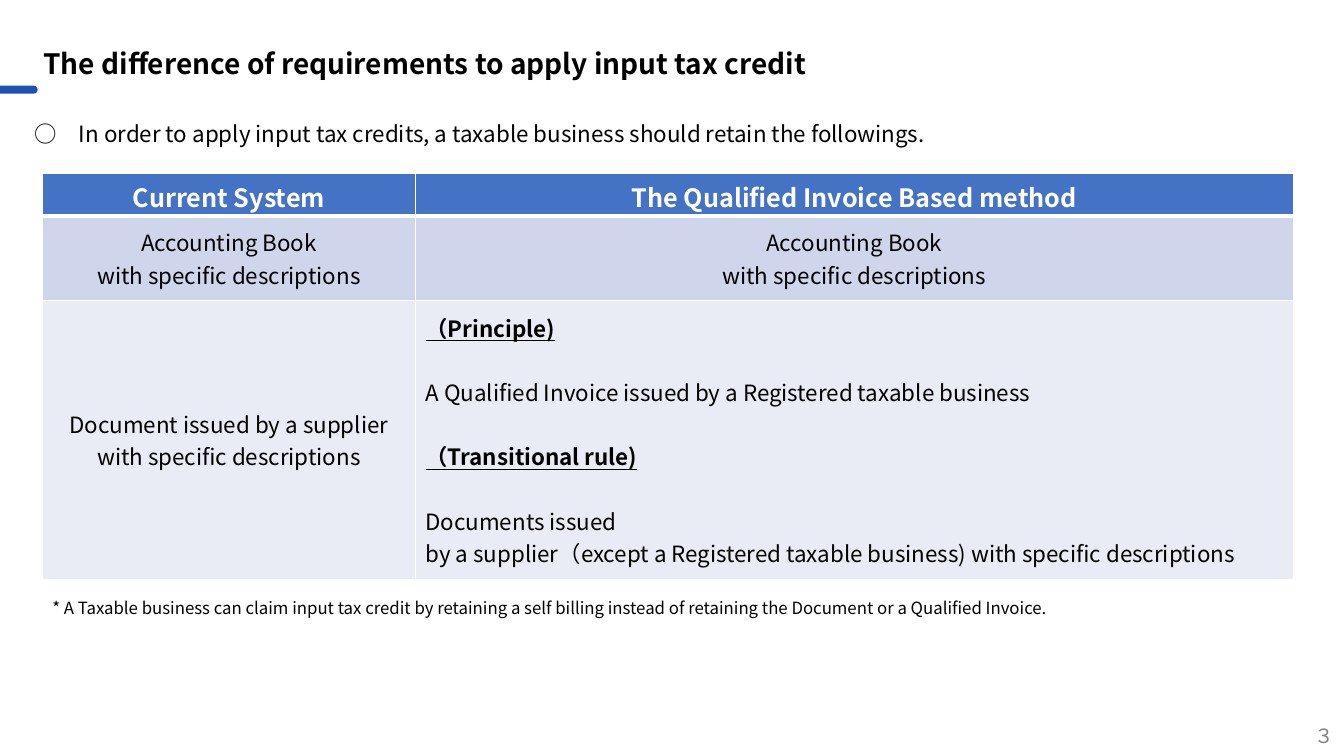
from collections import namedtuple

from lxml.etree import SubElement
from pptx import Presentation
from pptx.dml.color import RGBColor
from pptx.enum.shapes import MSO_SHAPE
from pptx.enum.text import MSO_ANCHOR, MSO_AUTO_SIZE, PP_ALIGN
from pptx.oxml.ns import qn
from pptx.util import Cm, Pt

COLORS = {
    "accent": "1E50B5", "header": "4472C4", "band_dark": "CFD5EA",
    "band_light": "E9EBF5", "white": "FFFFFF", "black": "000000", "gray": "808080",
}
FONT = "Noto Sans CJK JP"
NUMBER_FONT = "Roboto"
Box = namedtuple("Box", "left top width height")

HEADERS = ["Current System", "The Qualified Invoice Based method"]
BOOK = ["Accounting Book", "with specific descriptions"]
DOCUMENT = ["Document issued by a supplier", "with specific descriptions"]
PRINCIPLE = "（Principle)"
TRANSITION = "（Transitional rule)"
INVOICE = "A Qualified Invoice issued by a Registered taxable business"
RULES = [
    PRINCIPLE, INVOICE, TRANSITION, "Documents issued",
    "by a supplier（except a Registered taxable business) with specific descriptions",
]


def color(name):
    """Return the named colour."""
    return RGBColor.from_string(COLORS[name])


def place(shape, box):
    """Move a shape to a box in centimetres."""
    shape.left, shape.top, shape.width, shape.height = (Cm(side) for side in box)


def format_para(para, size, shade="black", bold=False, align=PP_ALIGN.LEFT, font=FONT):
    """Format a paragraph and its runs."""
    para.alignment = align
    for span in para.runs:
        span.font.size, span.font.bold, span.font.name = Pt(size), bold, font
        span.font.color.rgb = color(shade)
        SubElement(span.font._element, qn("a:ea"), typeface=font)


def add_text_box(page, box, text):
    """Add a wrapping text box and return its frame."""
    frame = page.shapes.add_textbox(*(Cm(side) for side in box)).text_frame
    frame.word_wrap = True
    frame.text = text
    return frame


def set_line_gap(para):
    """Give a statement its fixed line height and space above."""
    para.line_spacing, para.space_before = Pt(22), Pt(10)


def add_heading(page, box):
    """Fill the title and draw the accent bar at its lower left."""
    bar = page.shapes.add_shape(MSO_SHAPE.ROUNDED_RECTANGLE, 0, 0, 0, 0)
    place(bar, Box(box.left - 1.09, box.top + 1.02, 1.2, 0.2))
    bar.adjustments[0] = 0.5
    bar.shadow.inherit = False
    bar.fill.solid()
    bar.fill.fore_color.rgb = color("accent")
    bar.line.fill.background()
    title = page.shapes.title
    place(title, box)
    frame = title.text_frame
    frame.text = "The difference of requirements to apply input tax credit"
    frame.auto_size, frame.vertical_anchor = MSO_AUTO_SIZE.NONE, MSO_ANCHOR.MIDDLE
    format_para(frame.paragraphs[0], 20, bold=True)
    frame.paragraphs[0].line_spacing = 0.9


def add_statement(page, box):
    """Fill the body placeholder with the opening statement."""
    body = page.placeholders[1]
    place(body, box)
    frame = body.text_frame
    frame.text = ("○　In order to apply input tax credits, "
                  "a taxable business should retain the followings.")
    frame.auto_size = MSO_AUTO_SIZE.NONE
    para = frame.paragraphs[0]
    format_para(para, 16)
    set_line_gap(para)
    settings = para._p.get_or_add_pPr()
    settings.set("marL", "0")
    settings.set("indent", "0")
    SubElement(settings, qn("a:buNone"))


def style_cell(cell, fill, bottom_width=1):
    """Give a cell white borders and a fill."""
    settings = cell._tc.get_or_add_tcPr()
    for side, width in (("L", 1), ("R", 1), ("T", 1), ("B", bottom_width)):
        edge = SubElement(settings, qn(f"a:ln{side}"), w=str(Pt(width)))
        paint = SubElement(edge, qn("a:solidFill"))
        SubElement(paint, qn("a:srgbClr"), val=COLORS["white"])
    cell.fill.solid()
    cell.fill.fore_color.rgb = color(fill)


def fill_cell(cell, lines, align=PP_ALIGN.CENTER):
    """Write the lines of a body cell, setting rule names apart."""
    cell.vertical_anchor = MSO_ANCHOR.MIDDLE
    cell.text_frame.text = "\n".join(lines)
    for para in cell.text_frame.paragraphs:
        is_rule = para.text in (PRINCIPLE, TRANSITION)
        format_para(para, 16, bold=is_rule, align=align)
        for span in para.runs:
            span.font.underline = is_rule
        if is_rule or para.text == INVOICE:
            para.space_after = Pt(23)


def add_comparison(page, box):
    """Add the table comparing both systems."""
    table = page.shapes.add_table(3, 2, *(Cm(side) for side in box)).table
    table.columns[0].width, table.columns[1].width = Cm(9.4), Cm(box.width - 9.4)
    for row, height in zip(table.rows, (1.07, 2.13, box.height - 3.2)):
        row.height = Cm(height)
    for column, text in enumerate(HEADERS):
        cell = table.cell(0, column)
        cell.text_frame.text = text
        cell.margin_bottom = 0
        format_para(cell.text_frame.paragraphs[0], 18, "white", True, PP_ALIGN.CENTER)
        style_cell(cell, "header", 3)
        fill_cell(table.cell(1, column), BOOK)
        style_cell(table.cell(1, column), "band_dark")
        style_cell(table.cell(2, column), "band_light")
    fill_cell(table.cell(2, 0), DOCUMENT)
    fill_cell(table.cell(2, 1), RULES, PP_ALIGN.LEFT)


def add_footnote(page, box):
    """Add the remark below the table."""
    frame = add_text_box(page, box, "* A Taxable business can claim input tax credit by retaining "
                         "a self billing instead of retaining the Document or a Qualified Invoice.")
    format_para(frame.paragraphs[0], 12)
    set_line_gap(frame.paragraphs[0])


def add_page_number(page, box):
    """Add the page number at the right of its box."""
    frame = add_text_box(page, box, "３")
    frame.vertical_anchor = MSO_ANCHOR.MIDDLE
    format_para(frame.paragraphs[0], 14, "gray", align=PP_ALIGN.RIGHT, font=NUMBER_FONT)


def build_deck():
    """Build and save the one-page deck."""
    deck = Presentation()
    deck.slide_width, deck.slide_height = Cm(33.87), Cm(19.05)
    page = deck.slides.add_slide(deck.slide_layouts[1])
    add_heading(page, Box(0.84, 1.14, 31.09, 1.02))
    add_statement(page, Box(0.61, 2.79, 29.69, 1.02))
    add_comparison(page, Box(1.07, 4.37, 31.52, 10.24))
    add_footnote(page, Box(1.07, 14.68, 29.69, 1.02))
    add_page_number(page, Box(26.24, 18.03, 7.62, 1.02))
    deck.save("out.pptx")


build_deck()
